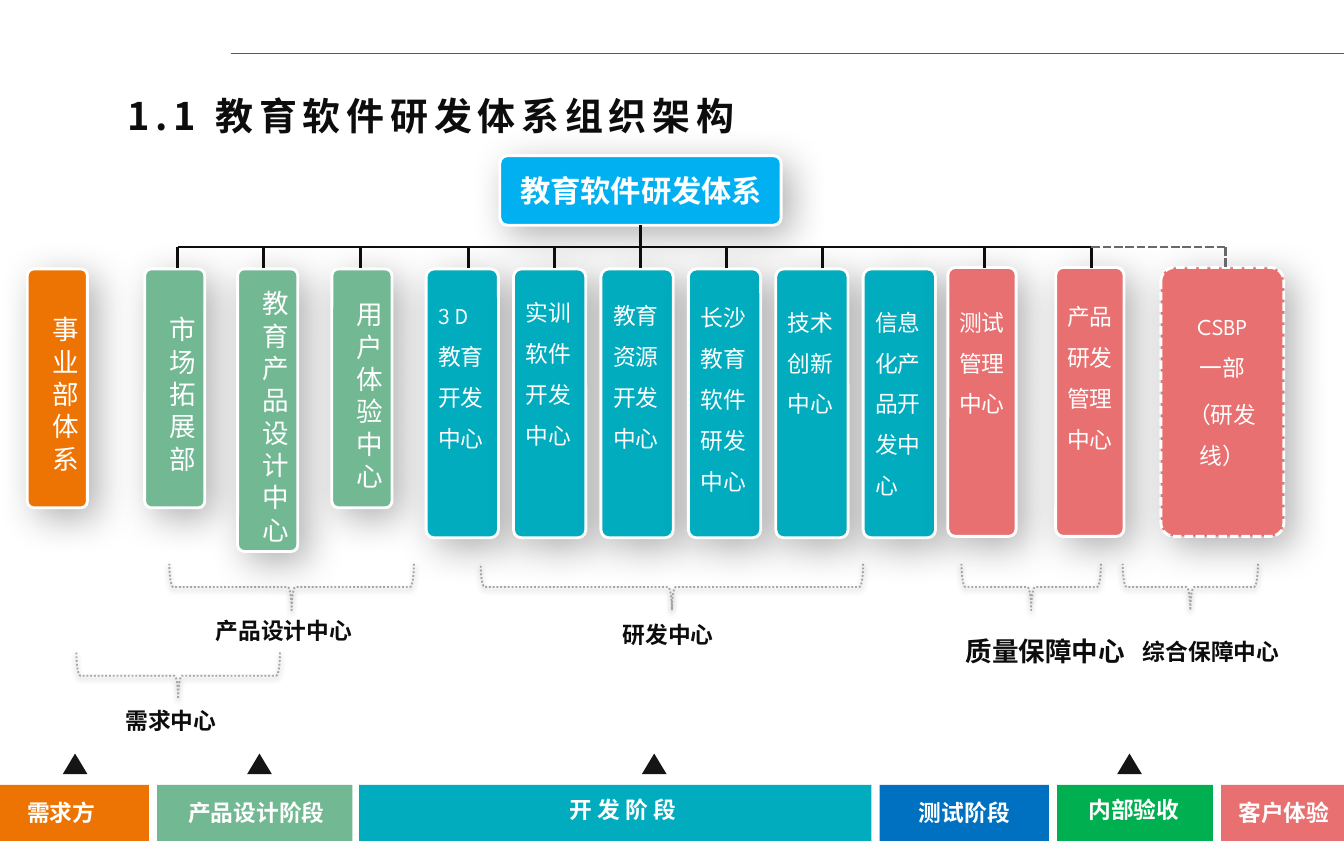
from lxml.etree import SubElement
from pptx import Presentation
from pptx.dml.color import RGBColor
from pptx.enum.dml import MSO_LINE
from pptx.enum.shapes import MSO_CONNECTOR, MSO_SHAPE
from pptx.enum.text import MSO_ANCHOR, MSO_AUTO_SIZE, PP_ALIGN
from pptx.oxml.ns import qn
from pptx.util import Inches, Pt

ORANGE = RGBColor(0xED, 0x74, 0x02)
GREEN = RGBColor(0x71, 0xB8, 0x93)
TEAL = RGBColor(0x01, 0xAC, 0xBE)
BLUE = RGBColor(0x00, 0x70, 0xC0)
SKY = RGBColor(0x00, 0xB0, 0xF0)
LEAF = RGBColor(0x00, 0xB0, 0x50)
CORAL = RGBColor(0xE8, 0x70, 0x71)
INK = RGBColor(0x0D, 0x0D, 0x0D)
BLACK = RGBColor(0x15, 0x15, 0x16)
GRAY = RGBColor(0x59, 0x59, 0x59)
DASH_GRAY = RGBColor(0x68, 0x68, 0x6D)
BRACE_GRAY = RGBColor(0xA6, 0xA6, 0xA6)
WHITE = RGBColor(0xFF, 0xFF, 0xFF)

LATIN = "League Spartan"
CHINESE = "Noto Sans CJK SC"

STAGES = [  # name, colour, left, width, text left, text top, text width
    ("需求方", ORANGE, 0, 1.09, 0.1, 5.8, 0.78),
    ("产品设计阶段", GREEN, 1.15, 1.43, 1.28, 5.8, 1.34),
    ("开 发 阶 段", TEAL, 2.63, 3.75, 4.07, 5.78, 1.07),
    ("测试阶段", BLUE, 6.44, 1.24, 6.63, 5.8, 1.01),
    ("内部验收", LEAF, 7.74, 1.14, 7.87, 5.78, 1),
    ("客户体验", CORAL, 8.94, 0.9, 8.97, 5.8, 0.96),
]
TRIANGLE_LEFTS = [0.46, 1.81, 4.7, 8.18]
VERTICAL_CARDS = [  # name, colour, left, height, text top, text height
    ("事业部体系", ORANGE, 0.2, 1.75, 2.22, 1.29),
    ("市场拓展部", GREEN, 1.06, 1.75, 2.22, 1.29),
    ("教育产品设计中心", GREEN, 1.74, 2.07, 2.03, 2.01),
    ("用户体验中心", GREEN, 2.43, 1.75, 2.11, 1.53),
]
DEVELOPMENT_CARDS = [  # lines, text top
    (["3 D", "教育", "开发", "中心"], 2.06),
    (["实训", "软件", "开发", "中心"], 2.04),
    (["教育", "资源", "开发", "中心"], 2.06),
    (["长沙", "教育", "软件", "研发", "中心"], 2.08),
    (["技术", "创新", "中心"], 2.11),
    (["信息", "化产", "品开", "发中", "心"], 2.11),
]
QUALITY_CARDS = [  # lines, left, text top
    (["测试", "管理", "中心"], 6.94, 2.11),
    (["产品", "研发", "管理", "中心"], 7.73, 2.07),
]
CENTERS = [  # name, left, top, width, size
    ("综合保障中心", 8.27, 4.62, 1.48, 12),
    ("研发中心", 4.46, 4.5, 0.98, 12),
    ("产品设计中心", 1.48, 4.47, 1.48, 12),
    ("质量保障中心", 6.97, 4.6, 1.48, 14),
    ("需求中心", 0.82, 5.13, 1.09, 12),
]
BRACES = [  # left, top, span
    (3.52, 4.13, 2.8), (1.24, 4.13, 1.79), (0.56, 4.78, 1.49),
    (7.04, 4.13, 1.02), (8.22, 4.13, 0.99),
]
DROP_LEFTS = [1.3, 1.93, 2.64, 3.43, 4.06, 5.32, 6.02, 7.21, 7.99]
BUS_TOP, CARD_TOP, BRACE_DEPTH = 1.81, 1.96, 0.34


class SlideBuilder:
    def __init__(self, page):
        self.page = page

    def fill_text(self, box, lines, size, color, bold=False, align=PP_ALIGN.LEFT,
                  line_spacing=None, tracking=0, latin=LATIN):
        frame = box.text_frame
        frame.text = "\n".join(lines)
        for para in frame.paragraphs:
            para.alignment = align
            if line_spacing:
                para.line_spacing = line_spacing
            font = para.font
            font.name, font.size, font.bold = latin, Pt(size), bold
            font.color.rgb = color
            properties = para._p.pPr.find(qn("a:defRPr"))
            SubElement(properties, qn("a:ea"), typeface=CHINESE)
            if tracking:
                properties.set("spc", str(tracking * 100))

    def title(self, text, left, top, width, height):
        box = self.page.shapes.title
        box.left, box.top = Inches(left), Inches(top)
        box.width, box.height = Inches(width), Inches(height)
        frame = box.text_frame
        frame.word_wrap = False
        frame.auto_size = MSO_AUTO_SIZE.SHAPE_TO_FIT_TEXT
        frame.vertical_anchor = MSO_ANCHOR.TOP
        self.fill_text(box, [text], 20, INK, bold=True, tracking=3, latin=CHINESE)

    def label(self, lines, left, top, width, height, size=12, color=WHITE,
              wrap=False, vertical=False, **style):
        box = self.page.shapes.add_textbox(
            Inches(left), Inches(top), Inches(width), Inches(height))
        frame = box.text_frame
        frame.word_wrap = wrap
        frame.auto_size = MSO_AUTO_SIZE.SHAPE_TO_FIT_TEXT
        if vertical:
            frame._txBody.bodyPr.set("vert", "eaVert")
        self.fill_text(box, lines, size, color, **style)

    def shape(self, kind, left, top, width, height, fill=None):
        shape = self.page.shapes.add_shape(
            kind, Inches(left), Inches(top), Inches(width), Inches(height))
        shape.shadow.inherit = False
        shape.line.fill.background()
        if fill is None:
            shape.fill.background()
        else:
            shape.fill.solid()
            shape.fill.fore_color.rgb = fill
        return shape

    def outline(self, shape, color, width, dash=None):
        shape.line.color.rgb = color
        shape.line.width = Pt(width)
        if dash:
            shape.line.dash_style = dash

    def cast_shadow(self, shape, opacity, blur, distance, angle):
        effects = shape._element.spPr.find(qn("a:effectLst"))
        shadow = SubElement(
            effects, qn("a:outerShdw"), blurRad=str(Pt(blur)), dist=str(Pt(distance)),
            dir=str(angle * 60000), algn="tl", rotWithShape="0")
        color = SubElement(shadow, qn("a:srgbClr"), val="000000")
        SubElement(color, qn("a:alpha"), val=str(opacity * 1000))

    def card(self, left, top, width, height, fill, dash=None):
        card = self.shape(MSO_SHAPE.ROUNDED_RECTANGLE, left, top, width, height, fill)
        card.adjustments[0] = 0.11
        self.outline(card, WHITE, 1.5, dash)
        self.cast_shadow(card, 30, 20, 7, 45)
        return card

    def brace(self, left, top, span):
        """Draw a brace that opens upward, from its visible left, top and span."""
        offset = (span - BRACE_DEPTH) / 2
        brace = self.shape(MSO_SHAPE.LEFT_BRACE, left + offset, top - offset,
                           BRACE_DEPTH, span)
        brace.rotation = 270
        self.outline(brace, BRACE_GRAY, 1, MSO_LINE.ROUND_DOT)
        self.cast_shadow(brace, 38, 3.1, 1.6, 90)

    def line(self, x1, y1, x2, y2, color=INK, width=1.5, dash=None):
        line = self.page.shapes.add_connector(
            MSO_CONNECTOR.STRAIGHT, Inches(x1), Inches(y1), Inches(x2), Inches(y2))
        self.outline(line, color, width, dash)
        SubElement(line._element.spPr, qn("a:effectLst"))
        return line


def main():
    deck = Presentation()
    deck.slide_width, deck.slide_height = Inches(9.84), Inches(6.3)
    builder = SlideBuilder(deck.slides.add_slide(deck.slide_layouts[5]))

    builder.line(1.69, 0.39, 9.84, 0.39, GRAY, 0.75)
    builder.title("1.1 教育软件研发体系组织架构", 0.83, 0.63, 4.74, 0.44)

    for name, color, left, width, text_left, text_top, text_width in STAGES:
        builder.shape(MSO_SHAPE.RECTANGLE, left, 5.75, width, 0.41, color)
        builder.label([name], text_left, text_top, text_width, 0.3, wrap=True, bold=True)
    for left in TRIANGLE_LEFTS:
        builder.shape(MSO_SHAPE.ISOSCELES_TRIANGLE, left, 5.52, 0.18, 0.15, BLACK)

    root = builder.card(3.66, 1.14, 2.06, 0.51, SKY)
    builder.label(["教育软件研发体系"], 3.71, 1.21, 2, 0.37, 16, bold=True)

    for name, left, top, width, size in CENTERS:
        builder.label([name], left, top, width, 0.3, size, INK, wrap=True,
                      bold=True, latin=CHINESE)
    for left, top, span in BRACES:
        builder.brace(left, top, span)

    for name, color, left, height, text_top, text_height in VERTICAL_CARDS:
        builder.card(left, 1.97, 0.44, height, color)
        builder.label([name], left, text_top, 0.44, text_height, 14,
                      vertical=True, tracking=3)
    for index, (lines, text_top) in enumerate(DEVELOPMENT_CARDS):
        left = 3.12 + 0.64 * index
        builder.card(left, 1.97, 0.53, 1.97, TEAL)
        builder.label(lines, left - 0.01, text_top, 0.54, 0.1 + 0.3 * len(lines),
                      line_spacing=1.5)
    centered = {"align": PP_ALIGN.CENTER, "line_spacing": 1.5}
    for lines, left, text_top in QUALITY_CARDS:
        builder.card(left, CARD_TOP, 0.5, 1.97, CORAL)
        builder.label(lines, left - 0.02, text_top, 0.54, 0.1 + 0.3 * len(lines), **centered)
    builder.card(8.5, CARD_TOP, 0.9, 1.97, CORAL, MSO_LINE.SQUARE_DOT)
    builder.label(["CSBP", "一部"], 8.64, 2.14, 0.62, 0.67, **centered)
    builder.label(["（研发线）"], 8.51, 2.79, 0.88, 0.37, wrap=True, **centered)

    builder.line(DROP_LEFTS[0], BUS_TOP, DROP_LEFTS[-1], BUS_TOP)
    trunk = builder.line(4.69, 1.65, 4.69, CARD_TOP)
    trunk.begin_connect(root, 2)
    for left in DROP_LEFTS:
        builder.line(left, BUS_TOP, left, CARD_TOP)
    builder.line(DROP_LEFTS[-1], BUS_TOP, 8.97, BUS_TOP, DASH_GRAY, dash=MSO_LINE.SQUARE_DOT)
    builder.line(8.97, BUS_TOP, 8.97, CARD_TOP, DASH_GRAY, dash=MSO_LINE.SQUARE_DOT)

    deck.save("out.pptx")


if __name__ == "__main__":
    main()
